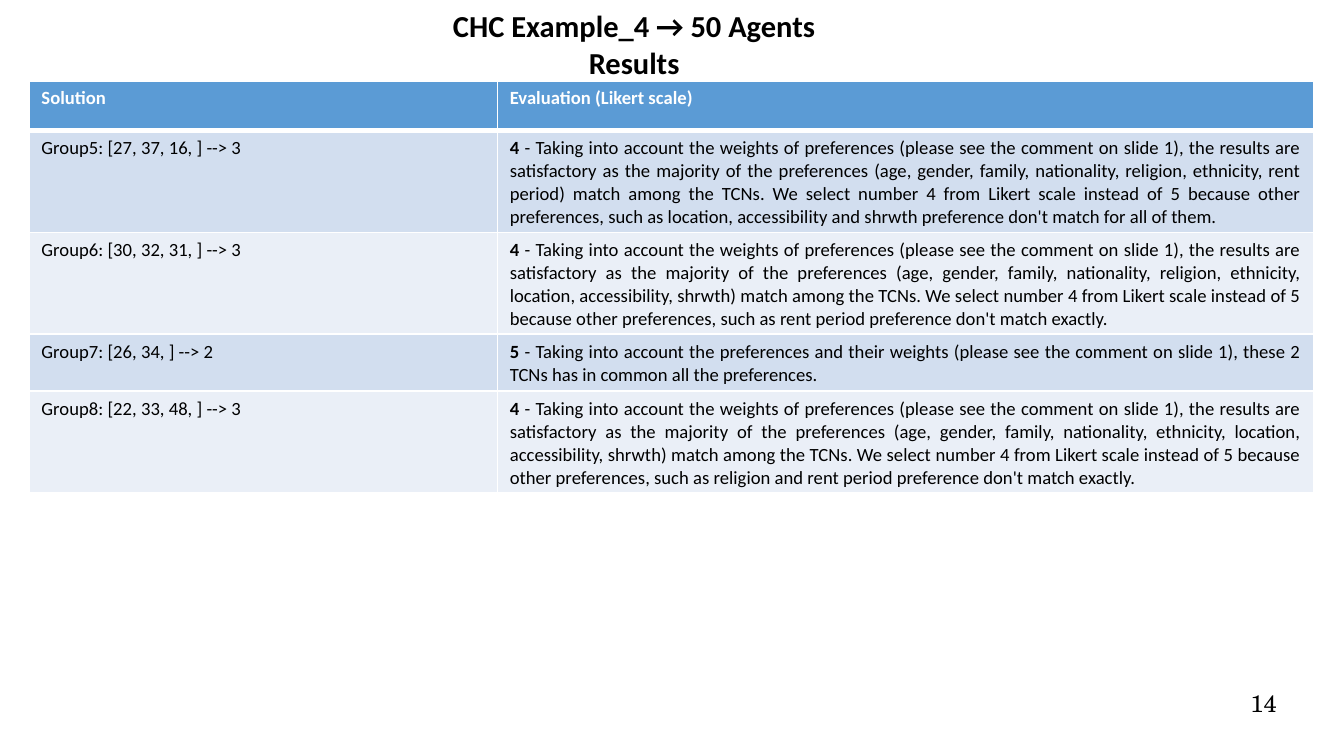
"""Builds the slide with the evaluated agent groups of the fourth CHC example."""
from lxml import etree
from pptx import Presentation
from pptx.dml.color import RGBColor
from pptx.enum import text
from pptx.oxml import ns
from pptx.util import Pt

LEFT, CENTER, RIGHT, JUSTIFY = (
    text.PP_ALIGN.LEFT, text.PP_ALIGN.CENTER, text.PP_ALIGN.RIGHT, text.PP_ALIGN.JUSTIFY)


def color(value):
    return RGBColor.from_string(value)


class Sheet:
    font, ink, paper = "Calibri", "000000", "FFFFFF"
    header_fill, bands = "5B9BD5", ("D2DEEF", "EAEFF7")

    def __init__(self, deck):
        self.slide = deck.slides.add_slide(deck.slide_layouts[6])

    def add_runs(self, paragraph, runs, size, align=LEFT, ink=ink, font=font):
        paragraph.alignment = align
        for words, bold in runs:
            run = paragraph.add_run()
            run.text = words
            run.font.name, run.font.size, run.font.bold = font, Pt(size), bold
            run.font.color.rgb = color(ink)

    def label(self, box, lines, size, align, margins=(0, 0), bold=False, font=font):
        frame = self.slide.shapes.add_textbox(*map(Pt, box)).text_frame
        frame.word_wrap = True
        frame.margin_left = frame.margin_right = Pt(margins[0])
        frame.margin_top = frame.margin_bottom = Pt(margins[1])
        for index, line in enumerate(lines):
            paragraph = frame.add_paragraph() if index else frame.paragraphs[0]
            self.add_runs(paragraph, [(line, bold)], size, align, font=font)

    def borders(self, cell, bottom):
        properties = cell._tc.get_or_add_tcPr()
        for side, width in zip("LRTB", (1, 1, 1, bottom)):
            line = etree.SubElement(properties, ns.qn(f"a:ln{side}"), w=str(Pt(width)))
            fill = etree.SubElement(line, ns.qn("a:solidFill"))
            etree.SubElement(fill, ns.qn("a:srgbClr"), val=self.paper)

    def table(self, left, top, widths, heights, rows, size):
        grid = self.slide.shapes.add_table(
            len(rows), len(widths), Pt(left), Pt(top),
            Pt(sum(widths)), Pt(sum(heights))).table
        for column, width in zip(grid.columns, widths):
            column.width = Pt(width)
        for r, cells in enumerate(rows):
            grid.rows[r].height = Pt(heights[r])
            for c, runs in enumerate(cells):
                cell = grid.cell(r, c)
                self.borders(cell, 1 if r else 3)
                cell.fill.solid()
                cell.fill.fore_color.rgb = color(
                    self.bands[(r - 1) % 2] if r else self.header_fill)
                self.add_runs(cell.text_frame.paragraphs[0], runs, size,
                              JUSTIFY if r and c else LEFT,
                              self.ink if r else self.paper)


def satisfactory(matching, differing):
    return (
        "- Taking into account the weights of preferences (please see the comment on "
        "slide 1), the results are satisfactory as the majority of the preferences "
        f"(age, gender, family, nationality, {matching}) match among the TCNs. We select "
        "number 4 from Likert scale instead of 5 because other preferences, such as "
        f"{differing}.")


def main():
    deck = Presentation()
    deck.slide_width, deck.slide_height = Pt(793.44), Pt(446.4)
    sheet = Sheet(deck)
    sheet.label((568.8, 406.8, 185, 31), ["14"], 14, RIGHT, font="TeX Gyre Schola")
    sheet.label((17.3, 0.7, 714.2, 73.4), ["CHC Example_4 → 50 Agents", "Results"],
                18, CENTER, (7.2, 3.6), bold=True)

    groups = [
        ("Group5: [27, 37, 16, ] --> 3", "4", satisfactory(
            "religion, ethnicity, rent period",
            "location, accessibility and shrwth preference don't match for all of them")),
        ("Group6: [30, 32, 31, ] --> 3", "4", satisfactory(
            "religion, ethnicity, location, accessibility, shrwth",
            "rent period preference don't match exactly")),
        ("Group7: [26, 34, ] --> 2", "5",
         "- Taking into account the preferences and their weights (please see the comment "
         "on slide 1), these 2 TCNs has in common all the preferences."),
        ("Group8: [22, 33, 48, ] --> 3", "4", satisfactory(
            "ethnicity, location, accessibility, shrwth",
            "religion and rent period preference don't match exactly")),
    ]
    header = [[("Solution", True)], [("Evaluation (Likert scale)", True)]]
    rows = [header] + [
        [[(solution, False)], [(f"{score} ", True), (reason, False)]]
        for solution, score, reason in groups]
    sheet.table(17.3, 47.8, (276.5, 481.7), (29.4, 60, 60, 33.5, 60), rows, 11)
    deck.save("out.pptx")


if __name__ == "__main__":
    main()
